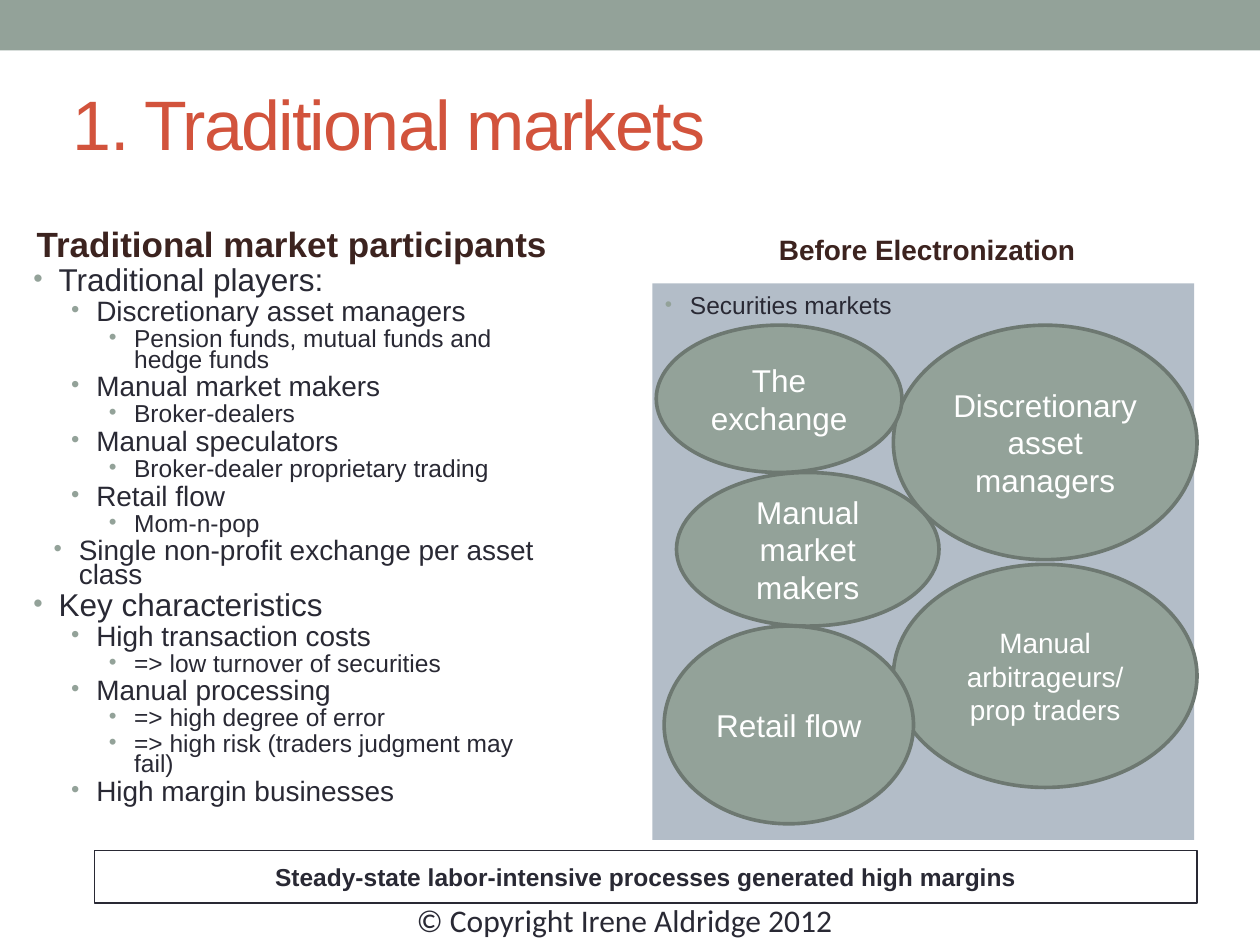
from dataclasses import dataclass

from lxml import etree
from pptx import Presentation
from pptx.dml.color import RGBColor
from pptx.enum.shapes import MSO_SHAPE
from pptx.enum.text import MSO_ANCHOR, PP_ALIGN
from pptx.oxml.ns import qn
from pptx.util import Pt

RECTANGLE, ELLIPSE = MSO_SHAPE.RECTANGLE, MSO_SHAPE.OVAL
TOP, MIDDLE = MSO_ANCHOR.TOP, MSO_ANCHOR.MIDDLE
LEFT, CENTER = PP_ALIGN.LEFT, PP_ALIGN.CENTER

SAGE, SAGE_DARK, BLUE_GRAY = "93A299", "6D7871", "B3BDC8"
INK, BROWN, RED, WHITE = "292934", "3C231F", "D2533C", "FFFFFF"


@dataclass(frozen=True)
class Box:
    left: float
    top: float
    width: float
    height: float


@dataclass(frozen=True)
class TextStyle:
    size: float
    color: str = INK
    bold: bool = False
    font: str = "Arial"
    align: PP_ALIGN = CENTER


@dataclass(frozen=True)
class BulletStyle:
    size: float
    indent: float
    bullet_percent: int = 85


@dataclass(frozen=True)
class Participant:
    label: str
    box: Box
    size: float = 18


TOPIC = BulletStyle(18, 14.4)
POINT = BulletStyle(16, 36)
DETAIL = BulletStyle(14, 57.6, 90)
EXCHANGE_NOTE = BulletStyle(16, 26)
PANEL_NOTE = BulletStyle(14, 14.4)

BULLETS = [
    (TOPIC, "Traditional players:"),
    (POINT, "Discretionary asset managers"),
    (DETAIL, "Pension funds, mutual funds and hedge funds"),
    (POINT, "Manual market makers"),
    (DETAIL, "Broker-dealers"),
    (POINT, "Manual speculators"),
    (DETAIL, "Broker-dealer proprietary trading"),
    (POINT, "Retail flow"),
    (DETAIL, "Mom-n-pop"),
    (EXCHANGE_NOTE, "Single non-profit exchange per asset class"),
    (TOPIC, "Key characteristics"),
    (POINT, "High transaction costs"),
    (DETAIL, "=> low turnover of securities"),
    (POINT, "Manual processing"),
    (DETAIL, "=> high degree of error"),
    (DETAIL, "=> high risk (traders judgment may fail)"),
    (POINT, "High margin businesses"),
]

PARTICIPANTS = [
    Participant("Discretionary asset managers", Box(510.5, 185.8, 173.5, 134)),
    Participant("Manual market makers", Box(386.6, 270, 150, 87.8)),
    Participant("Manual arbitrageurs/ prop traders", Box(510.5, 322.5, 173.5, 127.5), 16),
    Participant("Retail flow", Box(379.5, 357.8, 142.5, 113)),
    Participant("The exchange", Box(375, 185.8, 140.4, 84.2)),
]


def hex_color(value: str) -> RGBColor:
    return RGBColor.from_string(value)


def add_panel(slide, kind, box: Box, fill: str, line: str = "", line_width: float = 0):
    shape = slide.shapes.add_shape(
        kind, Pt(box.left), Pt(box.top), Pt(box.width), Pt(box.height))
    shape.shadow.inherit = False
    shape.fill.solid()
    shape.fill.fore_color.rgb = hex_color(fill)
    if line:
        shape.line.color.rgb = hex_color(line)
        shape.line.width = Pt(line_width)
    else:
        shape.line.fill.background()
    return shape


def add_text_box(slide, box: Box, wrap: bool = True):
    shape = slide.shapes.add_textbox(
        Pt(box.left), Pt(box.top), Pt(box.width), Pt(box.height))
    shape.text_frame.word_wrap = wrap
    return shape


def style_paragraph(paragraph, text: str, style: TextStyle) -> None:
    paragraph.text = text
    paragraph.alignment = style.align
    font = paragraph.font
    font.name = style.font
    font.size = Pt(style.size)
    font.bold = style.bold
    font.color.rgb = hex_color(style.color)


def write_line(shape, text: str, style: TextStyle, anchor: MSO_ANCHOR = MIDDLE):
    shape.text_frame.vertical_anchor = anchor
    paragraph = shape.text_frame.paragraphs[0]
    style_paragraph(paragraph, text, style)
    return paragraph


def format_bullet(paragraph, bullet: BulletStyle, line_spacing: float) -> None:
    paragraph.line_spacing = line_spacing
    properties = paragraph._p.get_or_add_pPr()
    properties.set("marL", str(Pt(bullet.indent)))
    properties.set("indent", str(-Pt(14.4)))
    space_before = etree.SubElement(properties, qn("a:spcBef"))
    etree.SubElement(space_before, qn("a:spcPct"), val="20000")
    bullet_color = etree.SubElement(properties, qn("a:buClr"))
    etree.SubElement(bullet_color, qn("a:srgbClr"), val=SAGE)
    etree.SubElement(properties, qn("a:buSzPct"), val=str(bullet.bullet_percent * 1000))
    etree.SubElement(properties, qn("a:buFont"), typeface="Arial")
    etree.SubElement(properties, qn("a:buChar"), char="•")


def write_bullets(shape, bullets: list, line_spacing: float) -> None:
    frame = shape.text_frame
    frame.vertical_anchor = TOP
    for index, (bullet, text) in enumerate(bullets):
        paragraph = frame.add_paragraph() if index else frame.paragraphs[0]
        format_bullet(paragraph, bullet, line_spacing)
        style_paragraph(paragraph, text, TextStyle(bullet.size, align=LEFT))


def add_participant(slide, participant: Participant) -> None:
    shape = add_panel(slide, ELLIPSE, participant.box, SAGE, SAGE_DARK, 2.08)
    write_line(shape, participant.label, TextStyle(participant.size, WHITE))


def add_title(slide, text: str) -> None:
    shape = add_text_box(slide, Box(34.6, 25.2, 648, 90))
    paragraph = write_line(shape, text, TextStyle(40, RED, align=LEFT))
    paragraph._p.get_or_add_pPr().get_or_add_defRPr().set("spc", "-100")
    for run in paragraph.runs:
        run._r.get_or_add_rPr().set("spc", "-100")


def main() -> None:
    presentation = Presentation()
    presentation.slide_width, presentation.slide_height = Pt(720), Pt(540)
    slide = presentation.slides.add_slide(presentation.slide_layouts[6])

    add_panel(slide, RECTANGLE, Box(0, 0, 720, 28.8), SAGE)
    add_title(slide, "1. Traditional markets")

    participants_heading = add_text_box(slide, Box(12, 114, 309.6, 50.4))
    write_line(participants_heading, "Traditional market participants",
               TextStyle(20, BROWN, True))
    write_bullets(add_text_box(slide, Box(12, 151.2, 309.6, 325.4)), BULLETS, 0.7)

    market_heading = add_text_box(slide, Box(375, 117.4, 309.6, 50.4))
    write_line(market_heading, "Before Electronization", TextStyle(16, BROWN, True))
    market_panel = add_panel(slide, RECTANGLE, Box(372.8, 162, 309.6, 318), BLUE_GRAY)
    write_bullets(market_panel, [(PANEL_NOTE, "Securities markets")], 1.0)
    for participant in PARTICIPANTS:
        add_participant(slide, participant)

    conclusion = add_panel(slide, RECTANGLE, Box(54, 486, 630, 30), WHITE, INK, 0.75)
    write_line(conclusion, "Steady-state labor-intensive processes generated high margins",
               TextStyle(14, bold=True))
    copyright_box = add_text_box(slide, Box(231, 511.2, 255, 28.8), wrap=False)
    write_line(copyright_box, "© Copyright Irene Aldridge 2012",
               TextStyle(18, font="Calibri", align=LEFT), TOP)

    presentation.save("out.pptx")


if __name__ == "__main__":
    main()
